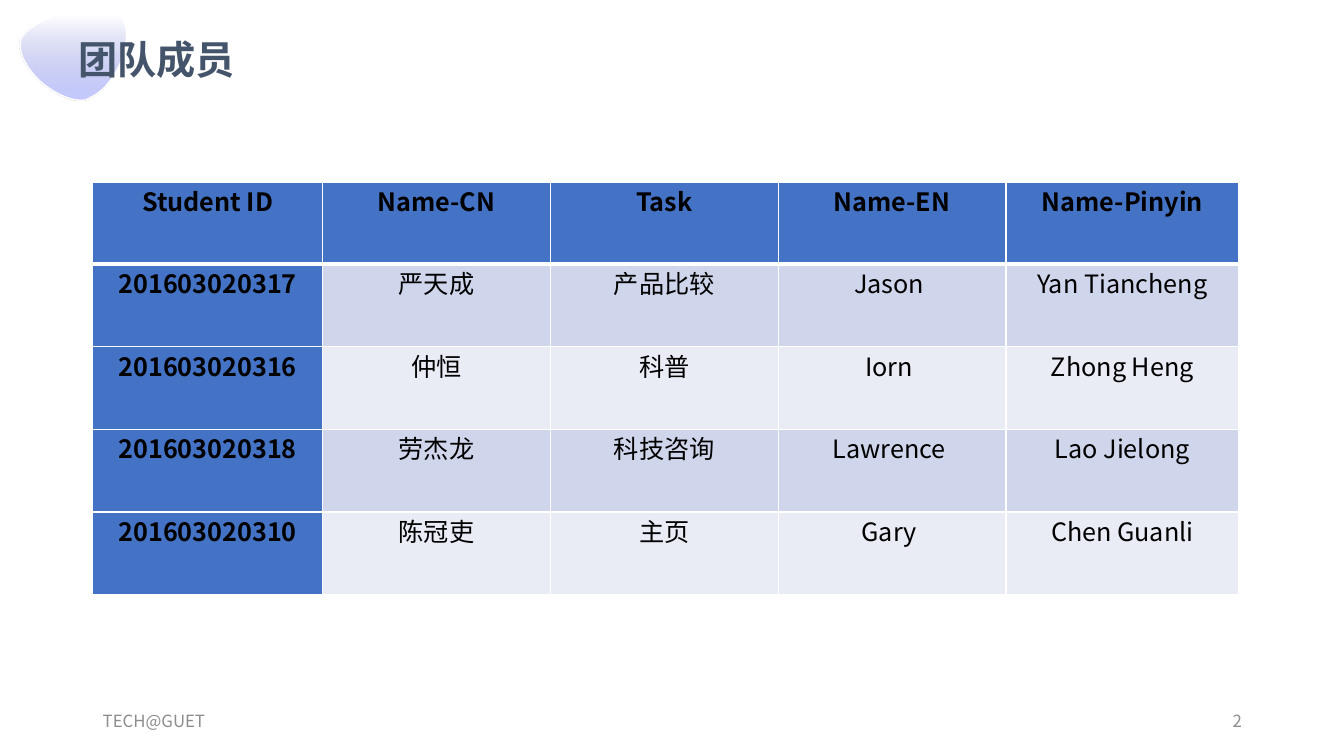
from dataclasses import dataclass

from lxml.etree import SubElement
from pptx import Presentation
from pptx.dml.color import RGBColor
from pptx.enum.text import MSO_ANCHOR, PP_ALIGN
from pptx.oxml import parse_xml
from pptx.oxml.ns import nsdecls, qn
from pptx.slide import Slide
from pptx.table import _Cell
from pptx.text.text import _Paragraph
from pptx.util import Cm, Pt

FONT = "Noto Sans CJK SC"
WHITE, BLACK, SLATE, GREY = "FFFFFF", "000000", "44546A", "8C8C8C"
BLUE, BANDS = "4472C4", ("CFD5EA", "E9EBF5")


@dataclass
class Label:
    text: str
    left: float
    top: float
    width: float
    height: float
    size: int
    color: str
    bold: bool = False
    align: PP_ALIGN = PP_ALIGN.LEFT
    anchor: MSO_ANCHOR = MSO_ANCHOR.MIDDLE


LABELS = [
    Label("团队成员", 1.73, 0.76, 7.14, 1.45, 28, SLATE, bold=True, anchor=MSO_ANCHOR.TOP),
    Label("TECH@GUET", 2.34, 17.65, 7.62, 1.02, 12, GREY),
    Label("2", 23.93, 17.65, 7.62, 1.02, 12, GREY, align=PP_ALIGN.RIGHT),
]

MEMBERS = [
    ("Student ID", "Name-CN", "Task", "Name-EN", "Name-Pinyin"),
    ("201603020317", "严天成", "产品比较", "Jason ", "Yan Tiancheng"),
    ("201603020316", "仲恒", "科普", "Iorn ", "Zhong Heng"),
    ("201603020318", "劳杰龙", "科技咨询", "Lawrence ", "Lao Jielong"),
    ("201603020310", "陈冠吏", "主页", "Gary ", "Chen Guanli"),
]
COLUMN_WIDTHS = (5.79, 5.74, 5.74, 5.74, 5.87)
ROW_HEIGHTS = (2.06, 2.08, 2.08, 2.08, 2.08)

# Pebble outline in cm: a start point, then two control points and an end per curve
PEBBLE_START = (2.18, 2.51)
PEBBLE_CURVES = [
    ((1.88, 2.59), (1.4, 2.39), (0.99, 2.03)),
    ((0.66, 1.7), (0.48, 1.35), (0.51, 1.09)),
    ((0.51, 0.81), (1.02, 0.48), (1.68, 0.3)),
    ((2.34, 0.15), (2.92, 0.23), (3.07, 0.46)),
    ((3.23, 0.69), (3.23, 1.09), (3.05, 1.55)),
    ((2.87, 1.98), (2.59, 2.31), (2.31, 2.44)),
]
CURVE_STEPS = 16


def rgb(value: str) -> RGBColor:
    return RGBColor.from_string(value)


def format_text(para: _Paragraph, size: int, color: str, bold: bool, align: PP_ALIGN) -> None:
    para.alignment = align
    for span in para.runs:
        span.font.name = FONT
        span.font.size = Pt(size)
        span.font.bold = bold
        span.font.color.rgb = rgb(color)
        SubElement(span.font._element, qn("a:ea"), typeface=FONT)


def add_label(page: Slide, label: Label) -> None:
    box = page.shapes.add_textbox(
        Cm(label.left), Cm(label.top), Cm(label.width), Cm(label.height)
    )
    frame = box.text_frame
    frame.word_wrap = True
    frame.vertical_anchor = label.anchor
    frame.text = label.text
    format_text(frame.paragraphs[0], label.size, label.color, label.bold, label.align)


def add_pebble(page: Slide) -> None:
    points = [PEBBLE_START]
    for first, second, end in PEBBLE_CURVES:
        start = points[-1]
        for step in range(1, CURVE_STEPS + 1):
            t = step / CURVE_STEPS
            u = 1 - t
            points.append(tuple(
                u**3 * a + 3 * u * u * t * b + 3 * u * t * t * c + t**3 * d
                for a, b, c, d in zip(start, first, second, end)
            ))
    corners = [(Cm(x), Cm(y)) for x, y in points]
    builder = page.shapes.build_freeform(*corners[0])
    builder.add_line_segments(corners[1:], close=True)
    pebble = builder.convert_to_shape()
    pebble.shadow.inherit = False
    pebble.line.color.rgb = rgb(WHITE)
    pebble.line.width = Pt(1)
    # Fades from clear at the top to lavender at the bottom
    pebble.fill.gradient()
    pebble.fill.gradient_angle = 270
    stops = pebble.fill.gradient_stops
    for stop, position, color, alpha in zip(stops, (0.08, 1), ("3241BA", "9BA3FF"), (0, 58)):
        stop.position = position
        stop.color.rgb = rgb(color)
        color_xml = stop._gs.find(qn("a:srgbClr"))
        SubElement(color_xml, qn("a:alpha"), val=str(alpha * 1000))


def set_borders(cell: _Cell, top: int, bottom: int) -> None:
    properties = cell._tc.get_or_add_tcPr()
    for index, (side, points) in enumerate(zip("LRTB", (1, 1, top, bottom))):
        properties.insert(index, parse_xml(
            f'<a:ln{side} {nsdecls("a")} w="{Pt(points)}"><a:solidFill>'
            f'<a:srgbClr val="{WHITE}"/></a:solidFill></a:ln{side}>'
        ))


def add_member_table(page: Slide) -> None:
    table = page.shapes.add_table(
        len(ROW_HEIGHTS), len(COLUMN_WIDTHS), Cm(2.34), Cm(4.6),
        Cm(sum(COLUMN_WIDTHS)), Cm(sum(ROW_HEIGHTS)),
    ).table
    for column, width in zip(table.columns, COLUMN_WIDTHS):
        column.width = Cm(width)
    for row, height in zip(table.rows, ROW_HEIGHTS):
        row.height = Cm(height)
    for row_index, member in enumerate(MEMBERS):
        for column_index, text in enumerate(member):
            cell = table.cell(row_index, column_index)
            heading = row_index == 0 or column_index == 0
            cell.margin_left = cell.margin_right = Cm(0.18)
            cell.margin_top = cell.margin_bottom = 0
            cell.fill.solid()
            cell.fill.fore_color.rgb = rgb(BLUE if heading else BANDS[(row_index - 1) % 2])
            set_borders(
                cell, top=3 if row_index == 1 else 1, bottom=3 if row_index == 0 else 1
            )
            cell.text_frame.text = text
            format_text(cell.text_frame.paragraphs[0], 18, BLACK, heading, PP_ALIGN.CENTER)


def main() -> None:
    deck = Presentation()
    deck.slide_width, deck.slide_height = Cm(33.87), Cm(19.05)
    page = deck.slides.add_slide(deck.slide_layouts[6])

    # Decoration behind the title
    add_pebble(page)

    # Title and footer
    for label in LABELS:
        add_label(page, label)

    # Team members
    add_member_table(page)

    deck.save("out.pptx")


if __name__ == "__main__":
    main()
